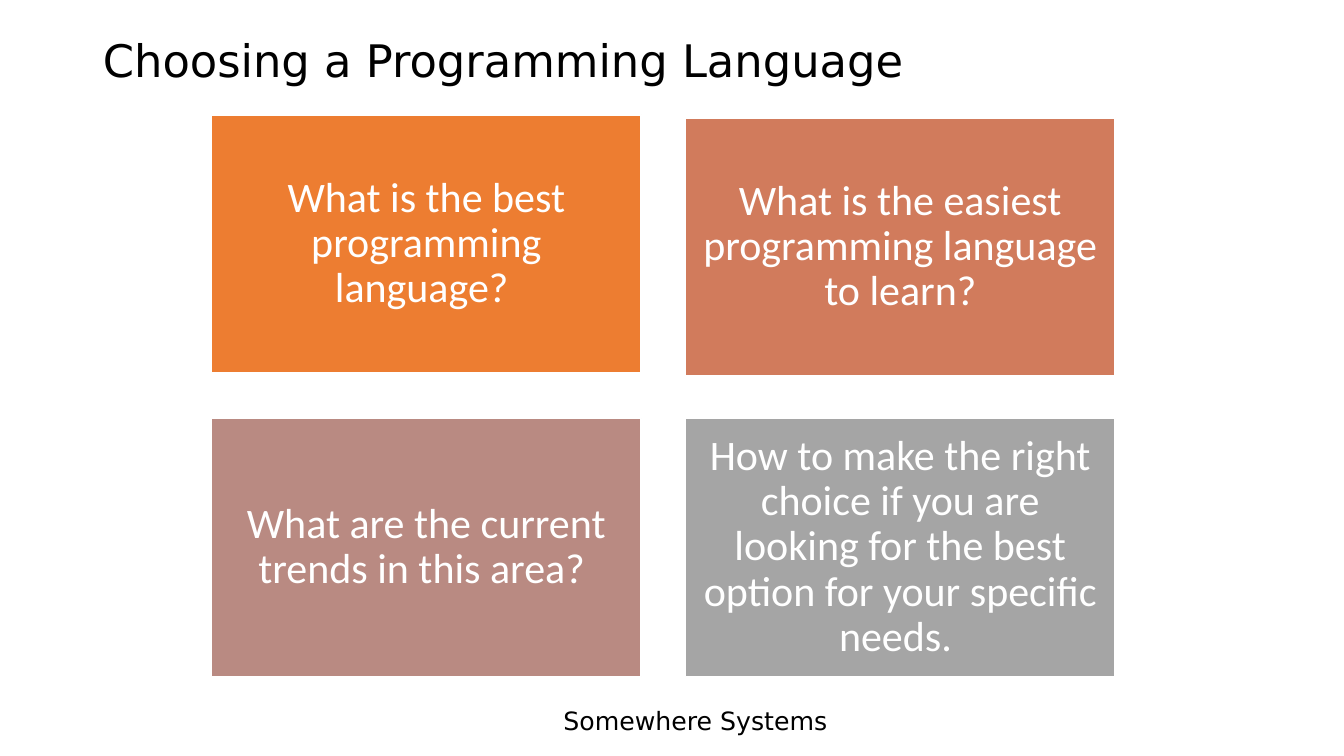
from pptx import Presentation
from pptx import util as u
from pptx.dml.color import RGBColor
from pptx.enum import shapes, text

COLORS = {"orange": "ED7D31", "coral": "D17B5C", "rose": "B98A82",
          "gray": "A5A5A5", "white": "FFFFFF", "black": "000000"}

GRID_LEFT, GRID_TOP = 2.1, 1.17
CARD_W, CARD_H = 4.26, 2.56
COL_STEP, ROW_STEP = 4.7, 2.98

# question, fill, vertical nudge from the grid row
CARDS = [
    ("What is the best programming language? ", "orange", -0.03),
    ("What is the easiest programming language to learn?", "coral", 0),
    ("What are the current trends in this area? ", "rose", 0),
    ("How to make the right choice if you are looking for the best option "
     "for your specific needs. ", "gray", 0),
]


def rgb(name):
    return RGBColor.from_string(COLORS[name])


def place(sp, left, top, width, height):
    sp.left, sp.top = u.Inches(left), u.Inches(top)
    sp.width, sp.height = u.Inches(width), u.Inches(height)


def write(tf, content, size, font, color, align=text.PP_ALIGN.LEFT):
    tf.text = content
    p = tf.paragraphs[0]
    p.alignment = align
    r = p.runs[0]
    r.font.size = u.Pt(size)
    r.font.name = font
    r.font.color.rgb = rgb(color)
    return p


def add_title(s, content):
    sp = s.shapes.title
    place(sp, 0.92, 0.15, 11.5, 0.95)
    tf = sp.text_frame
    tf.vertical_anchor = text.MSO_ANCHOR.MIDDLE
    write(tf, content, 32, "DejaVu Sans", "black").line_spacing = 0.9


def add_card(s, col, row, content, fill, nudge):
    sp = s.shapes.add_shape(shapes.MSO_SHAPE.RECTANGLE, 0, 0, 0, 0)
    place(sp, GRID_LEFT + col * COL_STEP, GRID_TOP + row * ROW_STEP + nudge,
          CARD_W, CARD_H)
    sp.shadow.inherit = False
    sp.fill.solid()
    sp.fill.fore_color.rgb = rgb(fill)
    sp.line.color.rgb = rgb("white")
    sp.line.width = u.Pt(1)
    tf = sp.text_frame
    tf.word_wrap = True
    tf.vertical_anchor = text.MSO_ANCHOR.MIDDLE
    tf.margin_left = tf.margin_right = u.Inches(0.12)
    tf.margin_top = tf.margin_bottom = u.Inches(0.12)
    p = write(tf, content, 30, "Calibri", "white", text.PP_ALIGN.CENTER)
    p.line_spacing = 0.9


def add_footer(s, content):
    sp = s.shapes.add_textbox(0, 0, 0, 0)
    place(sp, 5.49, 6.95, 2.9, 0.4)
    sp.text_frame.word_wrap = False
    write(sp.text_frame, content, 18, "DejaVu Sans", "black")


def main():
    prs = Presentation()
    prs.slide_width, prs.slide_height = u.Inches(13.33), u.Inches(7.5)
    s = prs.slides.add_slide(prs.slide_layouts[5])
    add_footer(s, "Somewhere Systems")
    add_title(s, "Choosing a Programming Language")
    for i, (content, fill, nudge) in enumerate(CARDS):
        row, col = divmod(i, 2)
        add_card(s, col, row, content, fill, nudge)
    prs.save("out.pptx")


if __name__ == "__main__":
    main()
